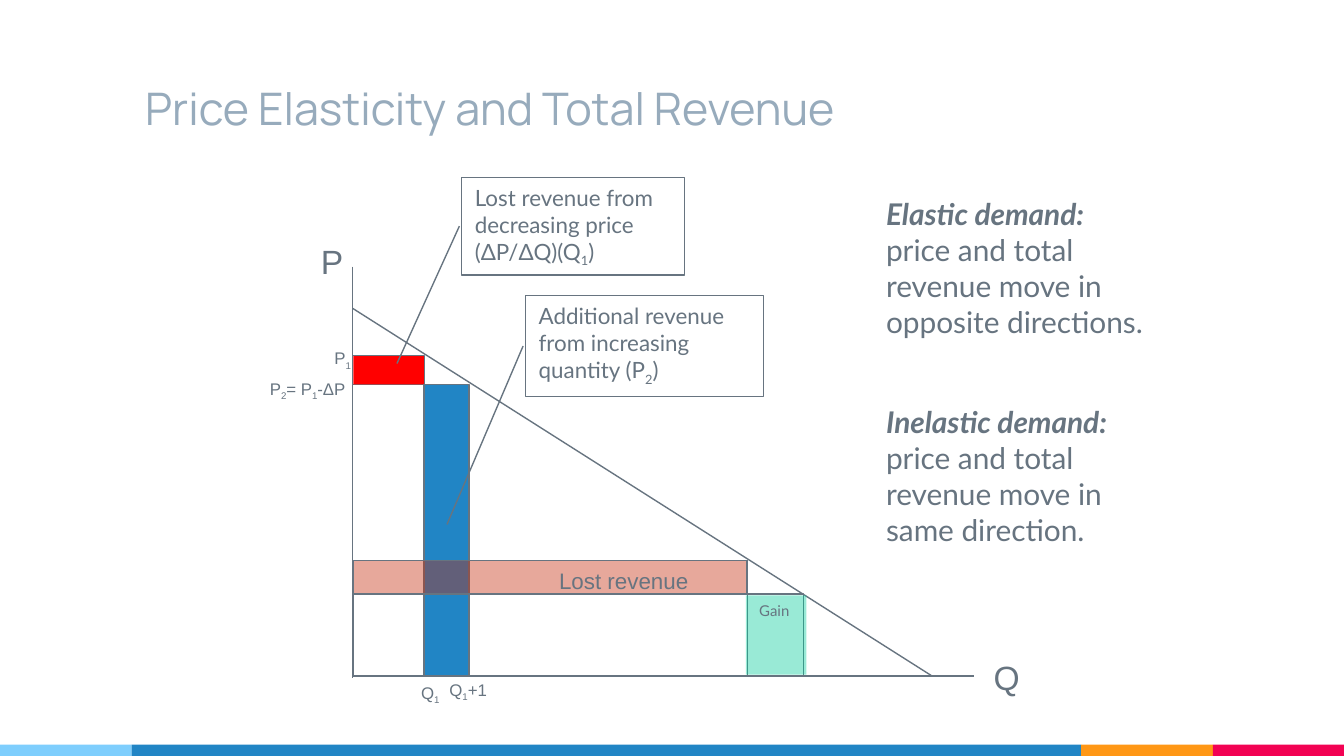
import pptx
import pptx.util
import pptx.dml.color
import pptx.enum.shapes
import pptx.enum.text
import pptx.oxml
import pptx.oxml.ns

SHAPE = pptx.enum.shapes.MSO_SHAPE
FIT = pptx.enum.text.MSO_AUTO_SIZE
ANCHOR = pptx.enum.text.MSO_ANCHOR
LEFT = pptx.enum.text.PP_ALIGN.LEFT

PX = 4572  # EMU in one px, 200 px to the inch
WIDE, HIGH = 2000, 1125
INK = "677480"
X0, Y0 = 525, 1006  # origin of the graph

TITLE = "Price Elasticity and Total Revenue"
STRIPES = [(0, "7ECEFD"), (196, "2185C5"), (1609, "FF9715"), (1805, "F20253")]

# from x, from y, to x, to y
LINES = [
    (X0, 397, X0, 1009),   # price axis
    (X0, Y0, 1449, Y0),    # quantity axis
    (X0, 459, 1387, Y0),   # demand
]

# text, left, top, width, height, size; subscripts stand between underscores
LABELS = [
    ("P", 458, 349, 74, 80, 18),
    ("Q", 1459, 968, 80, 80, 18),
    ("P_1_", 478, 508, 66, 50, 9),
    ("P_2_= P_1_-ΔP", 382, 554, 154, 50, 9),
    ("Q_1_", 607, 1006, 70, 50, 9),
    ("Q_1_+1", 649, 1002, 98, 50, 9),
]

# left, top, right, bottom, fill, opacity in percent, has an outline
AREAS = [
    (X0, 529, 631, Y0, None, 100, True),
    (X0, 572, 697, Y0, None, 100, True),
    (526, 530, 631, 572, "FF0000", 100, False),
    (631, 572, 698, Y0, "2185C5", 100, True),
    (X0, 834, 1112, Y0, None, 100, True),
    (526, 884, 1196, Y0, None, 100, True),
]
LOST = (526, 834, 1112, 884, "C52707", 40, True)
GAIN = (1110, 886, 1200, 1004, "00CC99", 40, False)

# text, left, top, width, height, pointer as y, x, y, x in parts of the box
CALLOUTS = [
    ("Lost revenue from decreasing price (ΔP/ΔQ)(Q_1_)",
     687, 264, 332, 145, (0.5, -0.01, 1.91, -0.29)),
    ("Additional revenue from increasing quantity (P_2_)",
     782, 440, 354, 150, (0.5, -0.01, 2.27, -0.33)),
]

# heading, text, left, top, width, height
NOTES = [
    ("Elastic demand: ", "price and total revenue move in opposite directions.",
     1299, 282, 426, 236),
    ("Inelastic demand: ", "price and total revenue move in same direction.",
     1299, 591, 468, 236),
]


def px(*nums):
    return [pptx.util.Emu(n * PX) for n in nums]


def tint(color, code):
    color.rgb = pptx.dml.color.RGBColor.from_string(code)


def style(font, name, size, code=INK):
    font.name = name
    font.size = pptx.util.Pt(size)
    tint(font.color, code)


def stroke(line):
    tint(line.color, INK)
    line.width = pptx.util.Pt(0.75)


def write(frame, text, name, size):
    """Write left-aligned text from the top, lowering what stands between underscores."""
    frame.vertical_anchor = ANCHOR.TOP
    para = frame.paragraphs[0]
    para.alignment = LEFT
    for i, part in enumerate(text.split("_")):
        if part:
            run = para.add_run()
            run.text = part
            if i % 2:
                run._r.get_or_add_rPr().set("baseline", "-25000")
    style(para.font, name, size)


def shape(kind, left, top, width, height, fill=None, alpha=100, edge=True):
    item = slide.shapes.add_shape(kind, *px(left, top, width, height))
    item.shadow.inherit = False
    if fill:
        item.fill.solid()
        tint(item.fill.fore_color, fill)
        if alpha < 100:
            tag = item.fill._xPr.find(".//" + pptx.oxml.ns.qn("a:srgbClr"))
            tag.append(pptx.oxml.parse_xml(
                f'<a:alpha {pptx.oxml.ns.nsdecls("a")} val="{alpha * 1000}"/>'))
    else:
        item.fill.background()
    if edge:
        stroke(item.line)
    else:
        item.line.fill.background()
    return item


def area(left, top, right, base, fill, alpha, edge):
    return shape(SHAPE.RECTANGLE, left, top, right - left, base - top,
                 fill, alpha, edge)


def textbox(left, top, width, height, wrap):
    frame = slide.shapes.add_textbox(*px(left, top, width, height)).text_frame
    frame.word_wrap = wrap
    frame.auto_size = FIT.SHAPE_TO_FIT_TEXT
    return frame


deck = pptx.Presentation()
deck.slide_width, deck.slide_height = px(WIDE, HIGH)
slide = deck.slides.add_slide(deck.slide_layouts[5])

stops = [left for left, _ in STRIPES[1:]] + [WIDE]
for (left, code), right in zip(STRIPES, stops):
    area(left, 1108, right, HIGH, code, 100, False)

title = slide.shapes.title
title.left, title.top, title.width, title.height = px(196, 78, 1413, 142)
frame = title.text_frame
frame.text = TITLE
frame.auto_size = FIT.NONE
frame.vertical_anchor = ANCHOR.BOTTOM
frame.margin_top, frame.margin_bottom = px(20, 20)
frame.margin_left, frame.margin_right = px(20, 20)
frame.paragraphs[0].alignment = LEFT
style(frame.paragraphs[0].font, "Manrope", 24, "97ABBC")

for ends in LINES:
    line = slide.shapes.add_connector(
        pptx.enum.shapes.MSO_CONNECTOR.STRAIGHT, *px(*ends))
    stroke(line.line)
    line._element.spPr.append(pptx.oxml.parse_xml(
        f'<a:effectLst {pptx.oxml.ns.nsdecls("a")}/>'))

for text, left, top, width, height, size in LABELS:
    write(textbox(left, top, width, height, False), text, "Arial", size)

for item in AREAS:
    area(*item)

for text, left, top, width, height, tip in CALLOUTS:
    box = shape(SHAPE.LINE_CALLOUT_1, left, top, width, height)
    for i, value in enumerate(tip):
        box.adjustments[i] = value
    write(box.text_frame, text, "Lato", 12)

lost = area(*LOST)
write(lost.text_frame, "Lost revenue", "Arial", 12)
lost.text_frame.margin_left = px(306)[0]
write(area(*GAIN).text_frame, "Gain", "Lato", 8)

for head, text, left, top, width, height in NOTES:
    frame = textbox(left, top, width, height, True)
    write(frame, head, "Lato", 16)
    para = frame.paragraphs[0]
    para.runs[0].font.bold = para.runs[0].font.italic = True
    para.add_run().text = text

deck.save("out.pptx")
